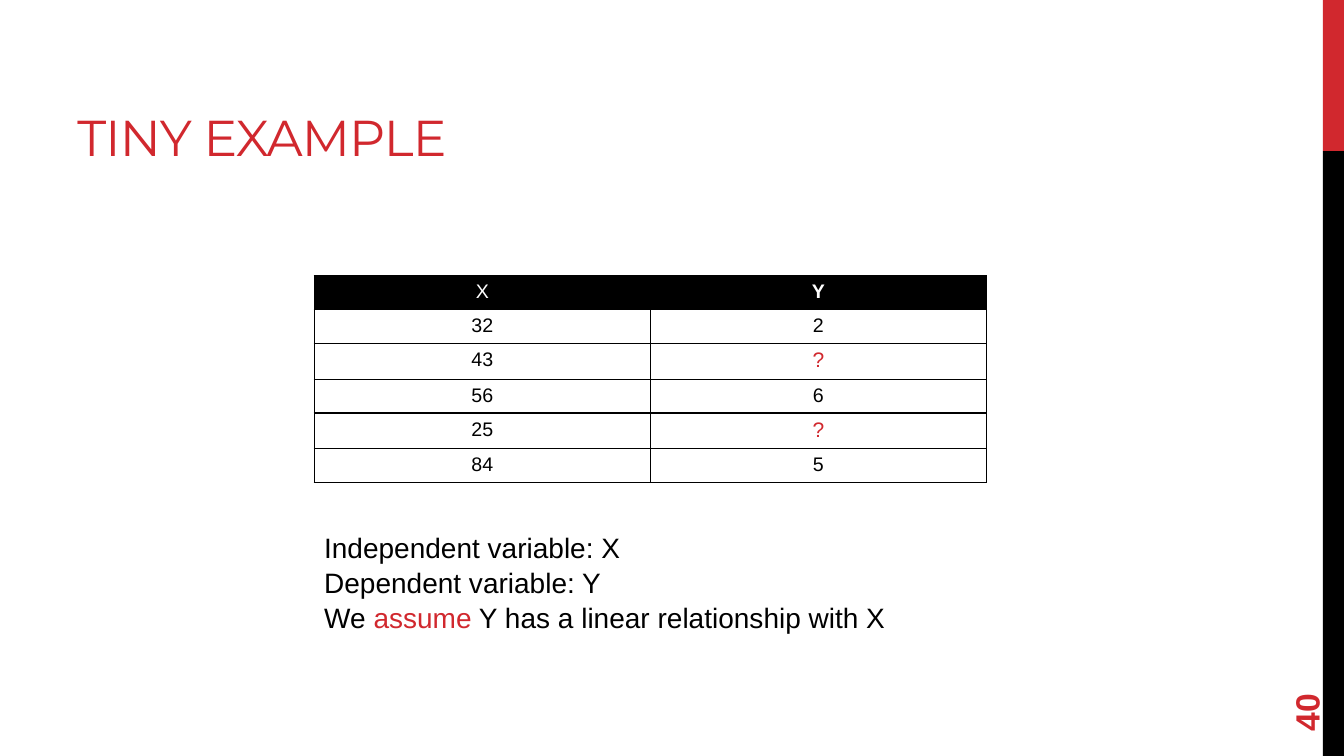
from pptx import Presentation
from pptx.dml.color import RGBColor
from pptx.enum.shapes import MSO_SHAPE
from pptx.enum.text import MSO_ANCHOR, PP_ALIGN
from pptx.oxml import parse_xml
from pptx.oxml.ns import nsdecls
from pptx.util import Cm, Pt

RED, BLACK, WHITE = "D1282E", "000000", "FFFFFF"


def style(r, size, color, bold=False, name="Arial"):
    r.font.size = Pt(size)
    r.font.name = name
    r.font.bold = bold
    r.font.color.rgb = RGBColor.from_string(color)


def add_text(left, top, width, height, anchor):
    sp = s.shapes.add_textbox(Cm(left), Cm(top), Cm(width), Cm(height))
    sp.text_frame.word_wrap = True
    sp.text_frame.vertical_anchor = anchor
    return sp


prs = Presentation()
prs.slide_width, prs.slide_height = Cm(33.87), Cm(19.05)
s = prs.slides.add_slide(prs.slide_layouts[6])

for top, height, color in [(0, 3.81, RED), (3.81, 15.24, BLACK)]:
    sp = s.shapes.add_shape(MSO_SHAPE.RECTANGLE, Cm(33.34), Cm(top), Cm(0.53), Cm(height))
    sp.shadow.inherit = False
    sp.fill.solid()
    sp.fill.fore_color.rgb = RGBColor.from_string(color)
    sp.line.fill.background()

tf = add_text(1.7, 0.43, 21.44, 3.81, MSO_ANCHOR.BOTTOM).text_frame
tf.margin_bottom = Cm(0.05)
tf.text = "TINY EXAMPLE"
r = tf.paragraphs[0].runs[0]
style(r, 36, RED, name="Montserrat")
r.font._element.set("spc", "-60")

rows = [("X", "Y"), ("32", "2"), ("43", "?"), ("56", "6"), ("25", "?"), ("84", "5")]
table = s.shapes.add_table(len(rows), 2, Cm(7.92), Cm(6.95), Cm(16.94), Cm(4.75)).table
for column in table.columns:
    column.width = Cm(8.47)
for i, values in enumerate(rows):
    table.rows[i].height = Cm(0.81 if "?" in values else 0.77)
    for j, value in enumerate(values):
        cell = table.cell(i, j)
        cell.margin_left = cell.margin_right = Cm(0.18)
        cell.margin_top = cell.margin_bottom = Cm(0.13)
        cell.text = value
        p = cell.text_frame.paragraphs[0]
        p.alignment = PP_ALIGN.CENTER
        color = WHITE if i == 0 else RED if value == "?" else BLACK
        style(p.runs[0], 15 if value == "?" else 14, color, bold=value == "Y")
        tcPr = cell._tc.get_or_add_tcPr()
        for side in ("lnL", "lnR", "lnT", "lnB"):
            tcPr.append(parse_xml(
                f'<a:{side} {nsdecls("a")} w="12192"><a:solidFill>'
                f'<a:srgbClr val="{BLACK}"/></a:solidFill></a:{side}>'))
        if i == 0:
            cell.fill.solid()
            cell.fill.fore_color.rgb = RGBColor.from_string(BLACK)
        else:
            cell.fill.background()

notes = [
    [("Independent variable: X", BLACK)],
    [("Dependent variable: Y", BLACK)],
    [("We ", BLACK), ("assume", RED), (" Y has a linear relationship with X", BLACK)],
]
tf = add_text(7.92, 13.21, 16.99, 2.79, MSO_ANCHOR.TOP).text_frame
for i, parts in enumerate(notes):
    p = tf.paragraphs[0] if i == 0 else tf.add_paragraph()
    p.line_spacing = 1.04
    for text, color in parts:
        r = p.add_run()
        r.text = text
        style(r, 20, color)

sp = add_text(31.09, 16.18, 3.66, 1.35, MSO_ANCHOR.MIDDLE)
sp.rotation = 270
sp.text_frame.text = "40"
style(sp.text_frame.paragraphs[0].runs[0], 24, RED, bold=True)

prs.save("out.pptx")
